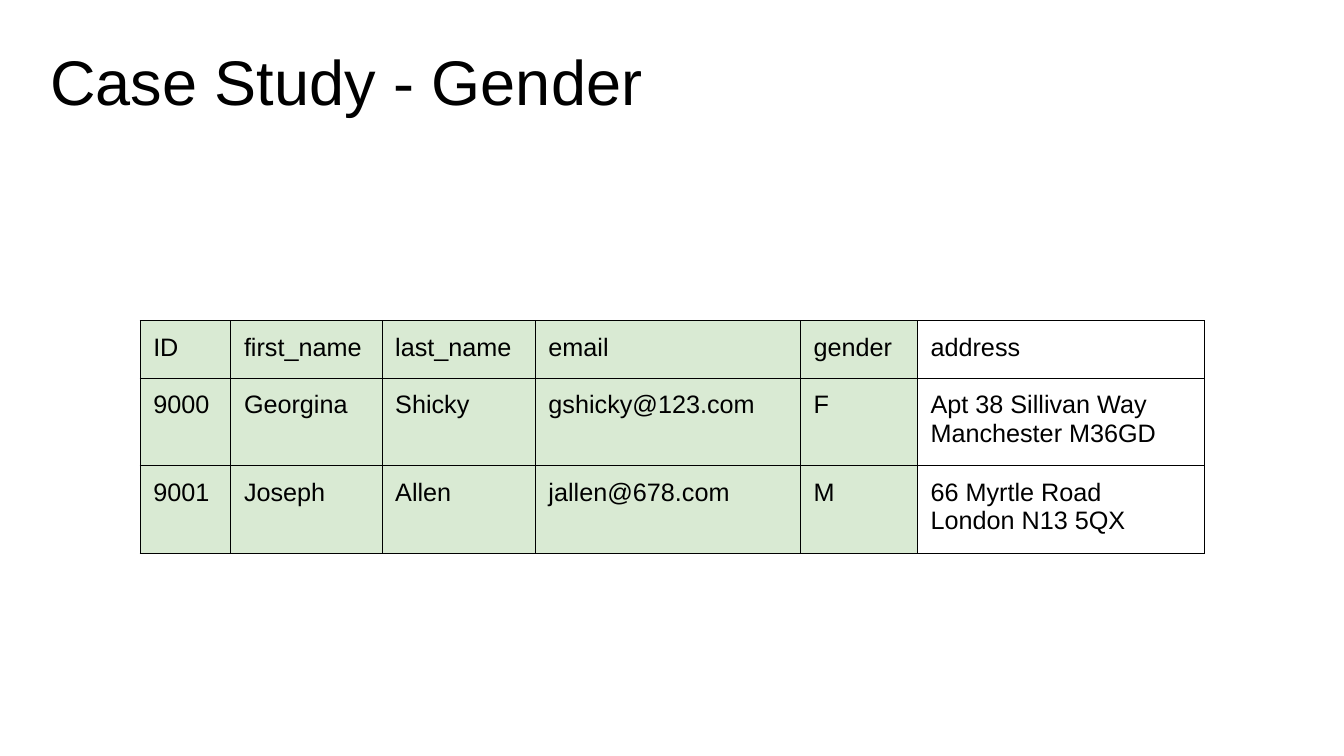
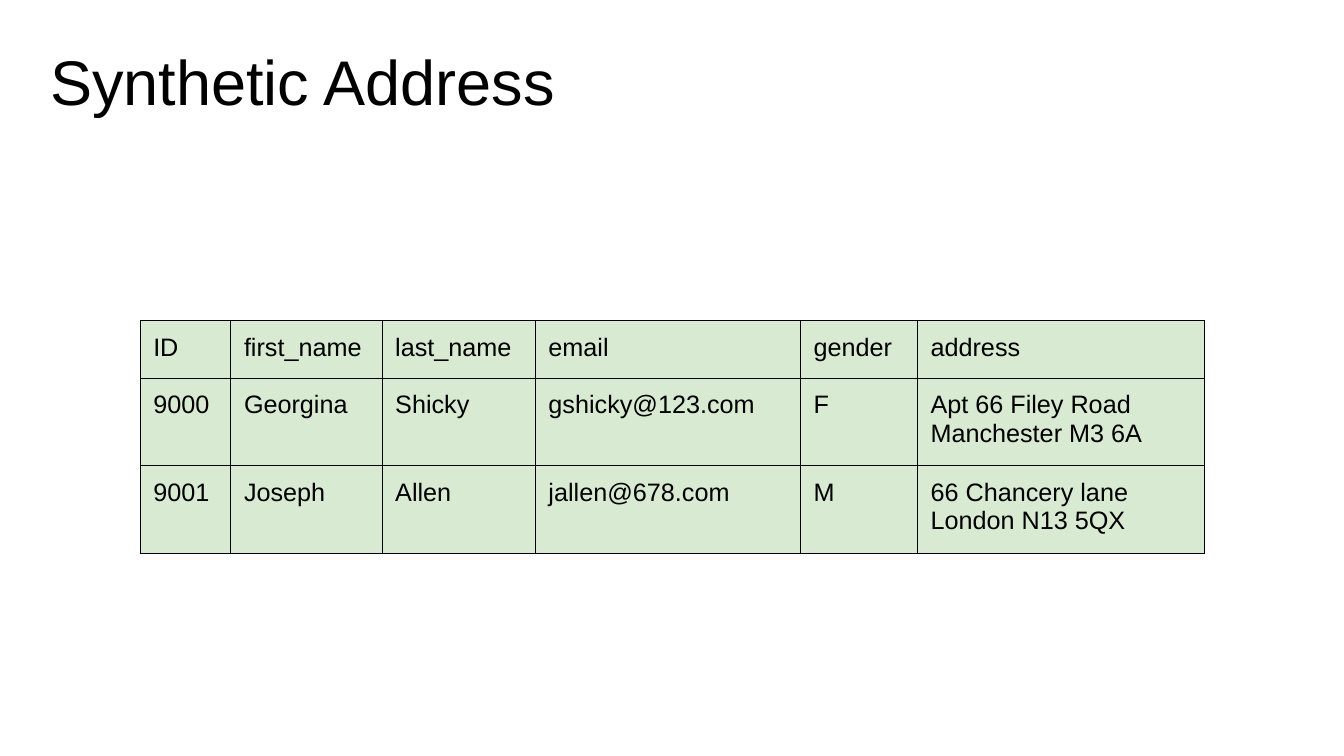
"""Build two slides that show a customer table before and after its address is synthesised."""
from dataclasses import dataclass

from lxml.etree import SubElement
from pptx import Presentation
from pptx.dml.color import RGBColor
from pptx.enum.text import MSO_ANCHOR
from pptx.oxml.ns import qn
from pptx.util import Inches, Pt

COLOURS = {"ink": "000000", "synthetic": "D9EAD3"}
FONT = "Arial"
INSET = Inches(0.13)
BORDER_WIDTH = Pt(0.75)
COLUMN_WIDTHS = (0.9, 1.5, 1.52, 2.63, 1.16, 2.85)
ROW_HEIGHTS = (0.57, 0.87, 0.87)
HEADINGS = ("ID", "first_name", "last_name", "email", "gender", "address")
PEOPLE = (
    ("9000", "Georgina", "Shicky", "gshicky@123.com", "F"),
    ("9001", "Joseph", "Allen", "jallen@678.com", "M"),
)


@dataclass(frozen=True)
class CaseStudy:
    title: str
    addresses: tuple[str, ...]
    synthetic_columns: int


CASE_STUDIES = (
    CaseStudy(
        "Case Study - Gender",
        ("Apt 38 Sillivan Way\nManchester M36GD", "66 Myrtle Road\nLondon N13 5QX"),
        5,
    ),
    CaseStudy(
        "Synthetic Address",
        ("Apt 66 Filey Road\nManchester M3 6A", "66 Chancery lane\nLondon N13 5QX"),
        6,
    ),
)


def format_text(frame, size: float) -> None:
    for para in frame.paragraphs:
        for span in para.runs:
            span.font.name = FONT
            span.font.size = Pt(size)
            span.font.color.rgb = RGBColor.from_string(COLOURS["ink"])


def add_title(page, title: str) -> None:
    box = page.shapes.add_textbox(Inches(0.37), Inches(0.29), Inches(12), Inches(1.25))
    frame = box.text_frame
    frame.word_wrap = True
    frame.margin_left = frame.margin_right = INSET
    frame.margin_top = frame.margin_bottom = INSET
    frame.text = title
    format_text(frame, 45)


def add_borders(cell) -> None:
    properties = cell._tc.get_or_add_tcPr()
    for side in ("a:lnL", "a:lnR", "a:lnT", "a:lnB"):
        line = SubElement(properties, qn(side), w=str(BORDER_WIDTH))
        fill = SubElement(line, qn("a:solidFill"))
        SubElement(fill, qn("a:srgbClr"), val=COLOURS["ink"])


def fill_cell(cell, text: str, synthetic: bool) -> None:
    cell.margin_left = cell.margin_right = INSET
    cell.margin_top = cell.margin_bottom = INSET
    cell.vertical_anchor = MSO_ANCHOR.TOP
    cell.text_frame.text = text
    format_text(cell.text_frame, 18)
    add_borders(cell)
    if synthetic:
        cell.fill.solid()
        cell.fill.fore_color.rgb = RGBColor.from_string(COLOURS["synthetic"])
    else:
        cell.fill.background()


def add_people_table(page, study: CaseStudy) -> None:
    records = [HEADINGS]
    records += [(*person, address) for person, address in zip(PEOPLE, study.addresses)]
    table = page.shapes.add_table(
        len(records), len(HEADINGS), Inches(1.39), Inches(3.18),
        Inches(sum(COLUMN_WIDTHS)), Inches(sum(ROW_HEIGHTS)),
    ).table
    table.first_row = table.horz_banding = False
    for column, width in zip(table.columns, COLUMN_WIDTHS):
        column.width = Inches(width)
    for row, height, record in zip(table.rows, ROW_HEIGHTS, records):
        row.height = Inches(height)
        for index, (cell, text) in enumerate(zip(row.cells, record)):
            fill_cell(cell, text, index < study.synthetic_columns)


def main() -> None:
    deck = Presentation()
    deck.slide_width, deck.slide_height = Inches(13.33), Inches(7.5)
    for study in CASE_STUDIES:
        page = deck.slides.add_slide(deck.slide_layouts[6])
        add_title(page, study.title)
        add_people_table(page, study)
    deck.save("out.pptx")


if __name__ == "__main__":
    main()
